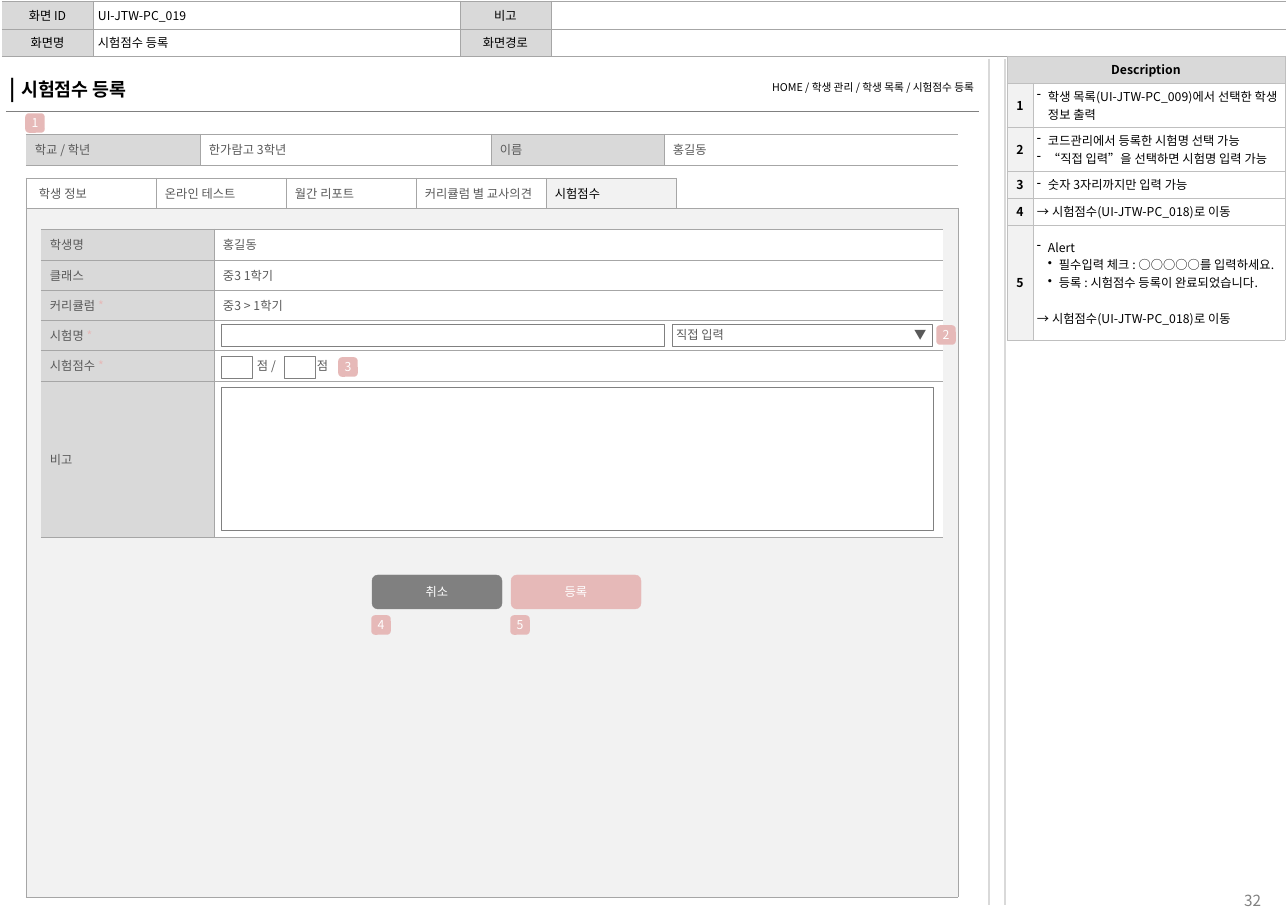
from lxml.etree import SubElement
from pptx import Presentation
from pptx.dml.color import RGBColor
from pptx.enum.shapes import MSO_CONNECTOR, MSO_SHAPE
from pptx.enum.text import MSO_ANCHOR, PP_ALIGN
from pptx.oxml.ns import qn
from pptx.util import Pt

PX = 8298  # EMU per px
FONT = "Noto Sans CJK KR"
BLACK = RGBColor(0x00, 0x00, 0x00)
WHITE = RGBColor(0xFF, 0xFF, 0xFF)
INK = RGBColor(0x59, 0x59, 0x59)
DARK = RGBColor(0x80, 0x80, 0x80)
EDGE = RGBColor(0xA6, 0xA6, 0xA6)
SILVER = RGBColor(0xBF, 0xBF, 0xBF)
HEAD = RGBColor(0xD9, 0xD9, 0xD9)
PALE = RGBColor(0xF2, 0xF2, 0xF2)
PINK = RGBColor(0xE6, 0xB9, 0xB8)
LEFT, MID, RIGHT = PP_ALIGN.LEFT, PP_ALIGN.CENTER, PP_ALIGN.RIGHT

# Content
TOP = [("화면 ID", "UI-JTW-PC_019", "비고", ""),
       ("화면명", "시험점수 등록", "화면경로", "")]
TITLE = "시험점수 등록"
TRAIL = "HOME / 학생 관리 / 학생 목록 / 시험점수 등록"
INFO = ["학교 / 학년", "한가람고 3학년", "이름", "홍길동"]
TABS = ["학생 정보", "온라인 테스트", "월간 리포트", "커리큘럼 별 교사의견", "시험점수", ""]
FORM = [("학생명", "", "홍길동"), ("클래스", "", "중3 1학기"),
        ("커리큘럼 ", "*", "중3 > 1학기"), ("시험명 ", "*", ""),
        ("시험점수 ", "*", "점 /\t점"), ("비고", "", "")]
PICK = "직접 입력\t▼"
NOTES = [  # (bullet, text) lines for each number
    [("-", "학생 목록(UI-JTW-PC_009)에서 선택한 학생 정보 출력")],
    [("-", "코드관리에서 등록한 시험명 선택 가능"),
     ("-", "“직접 입력”을 선택하면 시험명 입력 가능")],
    [("-", "숫자 3자리까지만 입력 가능")],
    [("", "→ 시험점수(UI-JTW-PC_018)로 이동")],
    [("-", "Alert"), ("•", "필수입력 체크 : ○○○○○를 입력하세요."),
     ("•", "등록 : 시험점수 등록이 완료되었습니다."),
     ("", "→ 시험점수(UI-JTW-PC_018)로 이동")],
]
BOXES = [(221, 324, 443, 22), (221, 356, 31, 22), (284, 356, 31, 22),
         (221, 387, 712, 143)]
KEYS = [(372, "취소", DARK), (511, "등록", PINK)]
BADGES = [(26, 114), (937, 326), (339, 358), (372, 616), (511, 616)]

deck = Presentation()
deck.slide_width, deck.slide_height = 1288 * PX, 911 * PX
slide = deck.slides.add_slide(deck.slide_layouts[6])
shapes = slide.shapes


def say(para, text, color=INK, size=8, bold=False):
    run = para.add_run()
    run.text = text
    font = run.font
    font.size, font.bold, font.name = Pt(size), bold, FONT
    font.color.rgb = color
    SubElement(font._element, qn("a:ea"), typeface=FONT)


def inset(box, left, top=0, right=0, low=0):
    box.margin_left, box.margin_top = left * PX, top * PX
    box.margin_right, box.margin_bottom = right * PX, low * PX


def tab(para, pos):
    stops = SubElement(para._p.get_or_add_pPr(), qn("a:tabLst"))
    SubElement(stops, qn("a:tab"), pos=str(pos * PX), algn="l")


def bullet(para, sign):
    props = para._p.get_or_add_pPr()
    props.set("marL", str((22 if sign == "•" else 11) * PX))
    props.set("indent", str(-11 * PX))
    SubElement(props, qn("a:buChar"), char=sign)


def grid(left, top, cols, rows):
    frame = shapes.add_table(len(rows), len(cols), left * PX, top * PX,
                             sum(cols) * PX, sum(rows) * PX)
    table = frame.table
    table.first_row = table.horz_banding = False
    for col, wide in zip(table.columns, cols):
        col.width = wide * PX
    for row, high in zip(table.rows, rows):
        row.height = high * PX
    return table


def cell(table, row, col, fill, sides, pad=(9,), align=LEFT):
    """Style one cell; sides maps L, R, T, B to (colour, points)."""
    box = table.cell(row, col)
    props = box._tc.get_or_add_tcPr()
    for side in "LRTB":
        color, width = sides.get(side, (None, 0))
        line = SubElement(props, qn("a:ln" + side), w=str(int(width * 12700)))
        if color is None:
            SubElement(line, qn("a:noFill"))
        else:
            paint = SubElement(line, qn("a:solidFill"))
            SubElement(paint, qn("a:srgbClr"), val=str(color))
    box.fill.solid()
    box.fill.fore_color.rgb = fill
    box.vertical_anchor = MSO_ANCHOR.MIDDLE
    inset(box, *pad)
    para = box.text_frame.paragraphs[0]
    para.alignment = align
    return box, para


def rim(sides, color=EDGE):
    return {side: (color, 0.25) for side in sides}


def open_rim(col, count):
    return rim("TB" + ("L" if col else "") + ("R" if col < count - 1 else ""))


def blank(para):
    SubElement(para._p, qn("a:endParaRPr"), sz="800")


def fill_in(para, text, color=INK):
    if text:
        say(para, text, color)
    else:
        blank(para)


def block(kind, left, top, wide, high, fill, edge, width=0.25, text="",
          color=WHITE, align=MID, side=0):
    shape = shapes.add_shape(kind, left * PX, top * PX, wide * PX, high * PX)
    shape.shadow.inherit = False
    if fill is None:
        shape.fill.background()
    else:
        shape.fill.solid()
        shape.fill.fore_color.rgb = fill
    shape.line.color.rgb, shape.line.width = edge, Pt(width)
    frame = shape.text_frame
    inset(frame, side, 0, side)
    frame.word_wrap = True
    frame.vertical_anchor = MSO_ANCHOR.MIDDLE
    para = frame.paragraphs[0]
    para.alignment = align
    if "\t" in text:
        tab(para, 238)
    if text:
        say(para, text, color)
    return shape


# Page number and side rules
page = shapes.add_textbox(1232 * PX, 884 * PX, 56 * PX, 27 * PX).text_frame
page.word_wrap = True
inset(page, 12, 7)
say(page.paragraphs[0], "32", DARK, 10)
for x in (989, 1005):
    rule = shapes.add_connector(MSO_CONNECTOR.STRAIGHT, x * PX, 59 * PX, x * PX, 905 * PX)
    rule.line.color.rgb, rule.line.width = HEAD, Pt(0.75)
    SubElement(rule._element.spPr, qn("a:effectLst"))

# Tab strip and its panel
table = grid(26, 178, [130] * 5 + [282], [30, 689])
for c, text in enumerate(TABS):
    live = text == TITLE.split()[0]
    sides = rim("LTRB" if text else "LB")
    para = cell(table, 0, c, PALE if live else WHITE, sides, (9 if c else 13,))[1]
    fill_in(para, text, BLACK if live else INK)
    blank(cell(table, 1, c, PALE, rim("LTRB"))[1])
table.cell(1, 0).merge(table.cell(1, 5))

# Student bar
table = grid(26, 134, [174, 291, 173, 294], [31])
for c, text in enumerate(INFO):
    say(cell(table, 0, c, WHITE if c % 2 else HEAD, open_rim(c, 4))[1], text)

# Screen header
table = grid(2, 1, [91, 367, 91, 735], [28, 27])
for r, row in enumerate(TOP):
    for c, text in enumerate(row):
        para = cell(table, r, c, WHITE if c % 2 else HEAD, open_rim(c, 4),
                    (5, 4, 5, 4), LEFT if c % 2 else MID)[1]
        fill_in(para, text, BLACK)

# Score form
table = grid(41, 229, [173, 729], [31, 30, 30, 30, 31, 156])
for r, (label, star, value) in enumerate(FORM):
    para = cell(table, r, 0, HEAD, open_rim(0, 2))[1]
    say(para, label)
    if star:
        say(para, star, PINK)
    score = "\t" in value
    para = cell(table, r, 1, WHITE, open_rim(1, 2), (43 if score else 9,))[1]
    if score:
        tab(para, 60)
    fill_in(para, value)

# Title and trail
table = grid(6, 63, [486, 486], [48])
base, gap = rim("B", DARK), (WHITE, 1)
para = cell(table, 0, 0, WHITE, {**base, "R": gap}, (4, 9, 0, 9))[1]
say(para, "| ", BLACK, 14, True)
say(para, TITLE, BLACK, 12, True)
para = cell(table, 0, 1, WHITE, {**base, "L": gap, "R": gap}, (0, 9, 4, 9), RIGHT)[1]
say(para, TRAIL, BLACK, 7)

# Buttons, fields and picker
for x, text, fill in KEYS:
    key = block(MSO_SHAPE.ROUNDED_RECTANGLE, x, 575, 130, 34, fill, fill, text=text)
    key.adjustments[0] = 0.17
for spot in BOXES:
    block(MSO_SHAPE.RECTANGLE, *spot, None, DARK)
block(MSO_SHAPE.RECTANGLE, 672, 324, 260, 22, WHITE, DARK, text=PICK,
      color=INK, align=LEFT, side=4)

# Description
table = grid(1007, 56, [26, 252], [27, 44, 44, 27, 27, 115])
ring, pad = rim("LTRB", SILVER), (4, 4, 4, 4)
para = cell(table, 0, 0, HEAD, ring, pad, MID)[1]
say(para, "Description", BLACK, bold=True)
blank(cell(table, 0, 1, HEAD, ring, pad)[1])
table.cell(0, 0).merge(table.cell(0, 1))
for r, lines in enumerate(NOTES, 1):
    para = cell(table, r, 0, PALE, ring, pad, MID)[1]
    say(para, str(r), BLACK, bold=True)
    box, para = cell(table, r, 1, WHITE, ring, pad)
    for n, (sign, text) in enumerate(lines):
        if n:
            para = box.text_frame.add_paragraph()
        if sign:
            bullet(para, sign)
        elif n:
            para.space_before = 18 * PX
        say(para, text, BLACK)

# Number badges
for n, (x, y) in enumerate(BADGES, 1):
    block(MSO_SHAPE.ROUNDED_RECTANGLE, x, y, 18, 18, PINK, PINK, 1, str(n))

deck.save("out.pptx")
